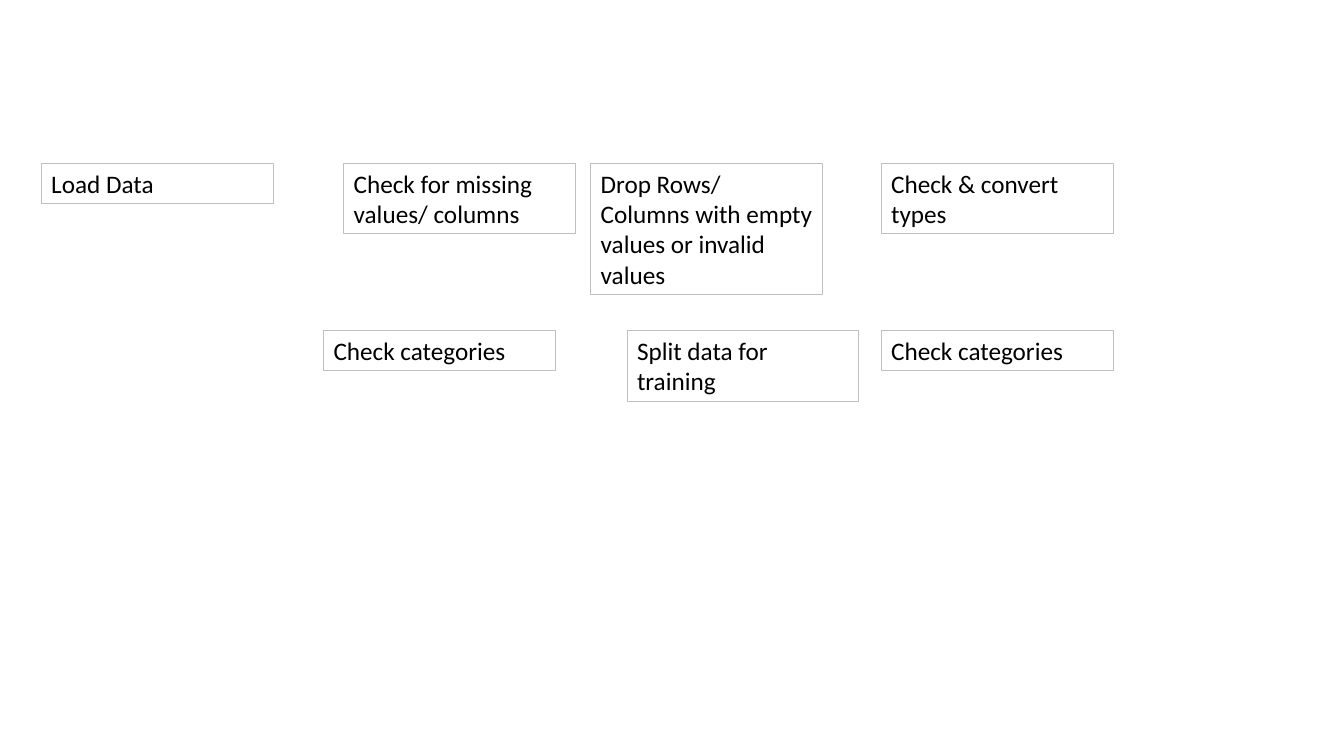
from pptx import Presentation
from pptx import util as u
from pptx.dml.color import RGBColor
from pptx.enum import text

SLIDE_WIDTH, SLIDE_HEIGHT = 13.33, 7.5
STEP_WIDTH = 2.3
LINE_HEIGHT = 0.3
PADDING = 0.1
PREPARE_ROW, SPLIT_ROW = 1.62, 3.28
CHECK_COLUMN = 8.74

BORDER = RGBColor(0xBF, 0xBF, 0xBF)
INK = RGBColor(0x00, 0x00, 0x00)

STEPS = [
    ("Load Data", 0.41, PREPARE_ROW, 1),
    ("Check for missing values/ columns", 3.41, PREPARE_ROW, 2),
    ("Drop Rows/ Columns with empty values or invalid values", 5.86, PREPARE_ROW, 4),
    ("Check & convert types", CHECK_COLUMN, PREPARE_ROW, 2),
    ("Check categories", CHECK_COLUMN, SPLIT_ROW, 1),
    ("Split data for training", 6.22, SPLIT_ROW, 2),
    ("Check categories", 3.21, SPLIT_ROW, 1),
]


def write(frame, words, size=18, font="Calibri", color=INK):
    """Put formatted, wrapped words into a text frame."""
    frame.word_wrap = True
    frame.auto_size = text.MSO_AUTO_SIZE.SHAPE_TO_FIT_TEXT
    run = frame.paragraphs[0].add_run()
    run.text = words
    run.font.size = u.Pt(size)
    run.font.name = font
    run.font.color.rgb = color


def add_step(slide, words, left, top, lines):
    """Add one bordered step, as tall as its number of text lines."""
    height = PADDING + lines * LINE_HEIGHT
    step = slide.shapes.add_textbox(
        u.Inches(left), u.Inches(top), u.Inches(STEP_WIDTH), u.Inches(height)
    )
    step.line.color.rgb = BORDER
    step.line.width = u.Pt(0.75)
    write(step.text_frame, words)


def main():
    """Build the data preparation slide."""
    deck = Presentation()
    deck.slide_width = u.Inches(SLIDE_WIDTH)
    deck.slide_height = u.Inches(SLIDE_HEIGHT)
    slide = deck.slides.add_slide(deck.slide_layouts[6])
    for words, left, top, lines in STEPS:
        add_step(slide, words, left, top, lines)
    deck.save("out.pptx")


if __name__ == "__main__":
    main()
